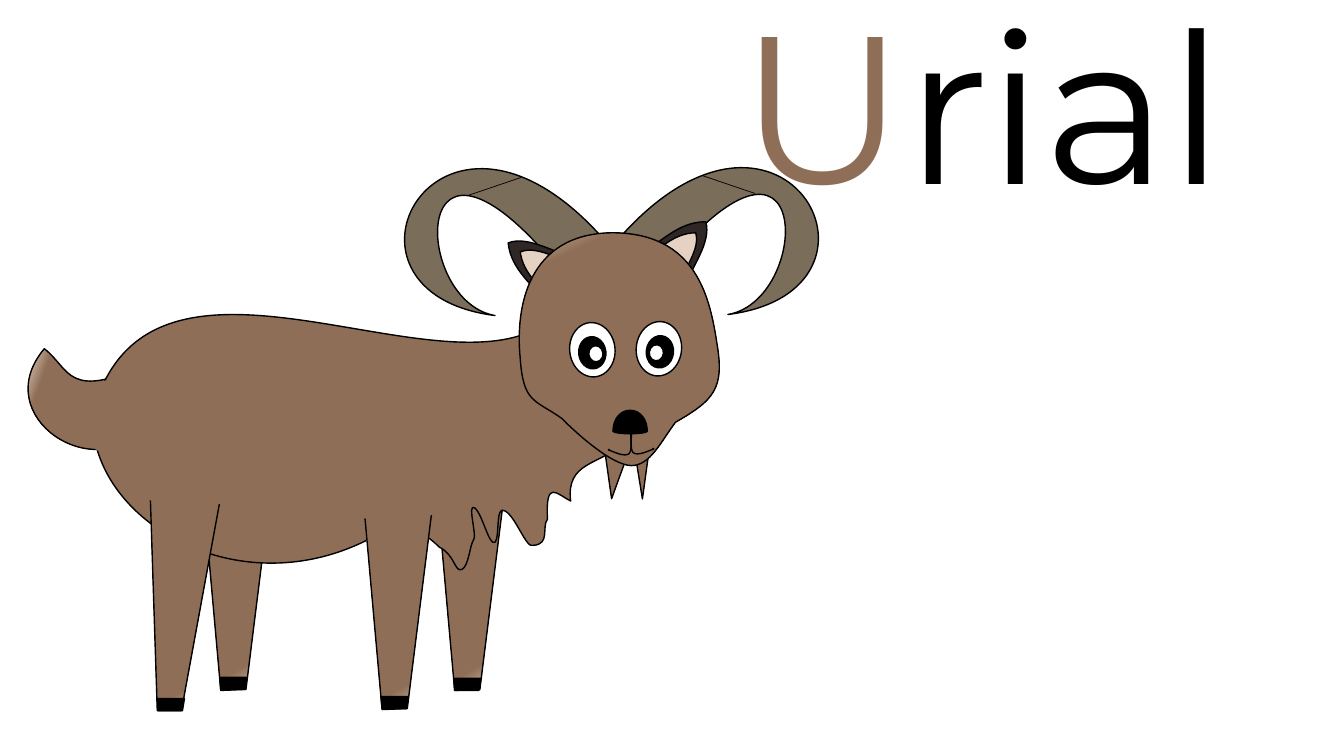
import math

from lxml import etree
from pptx import Presentation, util as u
from pptx.dml.color import RGBColor
from pptx.enum import shapes, text
from pptx.oxml import ns

COLOURS = {"brown": "8F6E57", "cream": "E6D2C2", "horn": "7A6D59",
           "ear": "2F2626", "black": "000000", "white": "FFFFFF"}

# Outlines: a start point, then pairs (straight to) or sixes (cubic curve to).
HORN = [(4.91, 3.13), (3.1, 2.9, 4.33, 0.57, 5.94, 2.32), (6.04, 2.59), (5.82, 3.03),
        (4.05, 0.59, 4.03, 2.98, 4.91, 3.13)]
RIDGE = [(5.17, 1.76), (4.64, 1.94)]
EARS = [
    ("ear", 41.3, [(6.77, 2.89), (6.85, 2.66, 7.06, 2.41, 7, 2.2),
                   (6.72, 2.2, 6.56, 2.41, 6.34, 2.52)]),
    ("cream", 41.3, [(6.72, 2.86), (6.78, 2.67, 6.95, 2.47, 6.9, 2.31),
                     (6.68, 2.31, 6.55, 2.48, 6.38, 2.56)]),
    ("ear", 305.5, [(5.75, 2.57), (5.51, 2.52, 5.24, 2.33, 5.04, 2.41),
                    (5.07, 2.69, 5.3, 2.82, 5.42, 3.03)]),
    ("cream", 305.5, [(5.73, 2.62), (5.54, 2.58, 5.32, 2.43, 5.16, 2.5),
                      (5.19, 2.72, 5.36, 2.83, 5.46, 2.99)]),
]
LEG = [(0.7, 0.03), (0, 0), (0.19, 2.13), (0.44, 2.12)]
FRONT_LEG = [(2.18, 4.98), (1.49, 4.91), (1.56, 7.05), (1.8, 7.05)]
HOOF = [(0.27, 0), (0, 0), (0.01, 0.12), (0.25, 0.12)]
TAIL = [(1.48, 3.6), (0.66, 3.99, 0.7, 3.66, 0.44, 3.46),
        (-0.13, 4.14, 0.96, 4.83, 1.42, 4.23)]
BODY = [(6.09, 3.22), (5.7, 2.86), (4.97, 4.42, 1.52, 1.84, 0.92, 4.1),
        (0.87, 5.16, 2.4, 6.07, 3.75, 5.3), (4.21, 5.37, 4.12, 5.2, 4.36, 5.43),
        (4.51, 5.5, 4.51, 5.68, 4.58, 5.65), (4.65, 5.62, 4.66, 5.4, 4.7, 5.35),
        (4.73, 5.31, 4.63, 4.98, 4.71, 5.04), (4.79, 5.11, 4.85, 5.42, 4.91, 5.38),
        (4.96, 5.33, 4.91, 5, 5.01, 5.07), (5.12, 5.13, 5.22, 5.45, 5.29, 5.41),
        (5.46, 5.4, 5.37, 5.23, 5.43, 5.15), (5.41, 4.75, 5.52, 4.9, 5.66, 4.97),
        (5.61, 4.58, 5.96, 4.61, 6.12, 4.43)]
HEAD = [(7.11, 3.4), (7.04, 2.94, 6.9, 2.31, 6.07, 2.31),
        (5.24, 2.32, 5.11, 3.04, 5.16, 3.55), (5.19, 4, 5.3, 3.96, 5.57, 4.15),
        (5.75, 4.33, 6.07, 4.61, 6.26, 4.62), (6.45, 4.62, 6.55, 4.39, 6.7, 4.19),
        (7.08, 3.97, 7.19, 3.86, 7.11, 3.4)]
NOSE = [(6.42, 4.28), (6.42, 4.16, 6.35, 4.07, 6.25, 4.07),
        (6.15, 4.07, 6.08, 4.16, 6.08, 4.28), (6.1, 4.31, 6.4, 4.31, 6.42, 4.28)]
MOUTH = [(6.25, 4.26), (6.26, 4.36, 6.27, 4.47, 6.24, 4.5),
         (6.2, 4.54, 6.08, 4.48, 6.05, 4.47), (6.02, 4.46, 6.04, 4.46, 6.05, 4.46)]


def colour(name):
    return RGBColor.from_string(COLOURS[name])


def moved(outline, right, down, flip=1):
    """Shift an outline; flip=-1 mirrors it left to right first."""
    return [tuple(flip * value + right if index % 2 == 0 else value + down
                  for index, value in enumerate(step)) for step in outline]


def rotated(point, degrees):
    angle = math.radians(degrees)
    x, y = point
    return (x * math.cos(angle) - y * math.sin(angle),
            x * math.sin(angle) + y * math.cos(angle))


def curve_points(corners, pieces=24):
    """Give points along a cubic curve, to find how far it reaches."""
    for piece in range(1, pieces + 1):
        t = piece / pieces
        weights = [math.comb(3, k) * t ** k * (1 - t) ** (3 - k) for k in range(4)]
        yield tuple(round(sum(weight * corner[axis] for weight, corner
                              in zip(weights, corners))) for axis in (0, 1))


class Drawing:
    font = "Montserrat"
    line_width = u.Pt(1)

    def __init__(self, slide):
        self.slide = slide

    def title(self, left, top, width, height, size, runs):
        title = self.slide.shapes.title
        title.left, title.top = u.Inches(left), u.Inches(top)
        title.width, title.height = u.Inches(width), u.Inches(height)
        frame = title.text_frame
        frame.word_wrap = True
        frame.auto_size = text.MSO_AUTO_SIZE.SHAPE_TO_FIT_TEXT
        frame.vertical_anchor = text.MSO_ANCHOR.TOP
        paragraph = frame.paragraphs[0]
        paragraph.alignment = text.PP_ALIGN.LEFT
        for words, name in runs:
            run = paragraph.add_run()
            run.text = words
            run.font.name, run.font.size = self.font, u.Pt(size)
            run.font.color.rgb = colour(name)

    def paint(self, shape, fill, shade=None, outlined=True):
        """Style a shape; shade is the clockwise angle of a cream-to-fill gradient."""
        shape.shadow.inherit = False
        if fill is None:
            shape.fill.background()
        elif shade is None:
            shape.fill.solid()
            shape.fill.fore_color.rgb = colour(fill)
        else:
            shape.fill.gradient()
            shape.fill.gradient_angle = 360 - shade
            stops = zip(shape.fill.gradient_stops, (0, 0.16), ("cream", fill))
            for stop, position, name in stops:
                stop.position = position
                stop.color.rgb = colour(name)
        if outlined:
            shape.line.color.rgb = colour("black")
            shape.line.width = self.line_width
        else:
            shape.line.fill.background()

    def outline(self, outline, fill=None, rotation=0, shade=None, closed=True):
        """Draw an outline where it lies, in a frame turned by the rotation."""
        steps = [[tuple(u.Inches(value) for value in rotated(step[i:i + 2], -rotation))
                  for i in range(0, len(step), 2)] for step in outline]
        reach = list(steps[0])
        for step in steps[1:]:
            reach += step if len(step) == 1 else curve_points([reach[-1], *step])
        builder = self.slide.shapes.build_freeform(*reach[0])
        builder.add_line_segments(reach[1:], close=closed)
        shape = builder.convert_to_shape()

        route = next(shape._element.iter(ns.qn("a:path")))
        for segment in list(route)[1:]:
            route.remove(segment)
        for step in steps[1:]:
            tag = "a:lnTo" if len(step) == 1 else "a:cubicBezTo"
            segment = etree.SubElement(route, ns.qn(tag))
            for x, y in step:
                etree.SubElement(segment, ns.qn("a:pt"),
                                 x=str(x - shape.left), y=str(y - shape.top))
        if closed:
            etree.SubElement(route, ns.qn("a:close"))

        x, y = rotated((shape.left + shape.width / 2, shape.top + shape.height / 2), rotation)
        shape.left, shape.top = round(x - shape.width / 2), round(y - shape.height / 2)
        shape.rotation = rotation
        self.paint(shape, fill, shade)

    def preset(self, kind, left, top, width, height, fill, rotation=0, outlined=True):
        shape = self.slide.shapes.add_shape(kind, u.Inches(left), u.Inches(top),
                                            u.Inches(width), u.Inches(height))
        shape.rotation = rotation
        self.paint(shape, fill, outlined=outlined)

    def line(self, start, end):
        connector = self.slide.shapes.add_connector(
            shapes.MSO_CONNECTOR.STRAIGHT, *(u.Inches(value) for value in start + end))
        connector.line.color.rgb = colour("black")
        connector.line.width = u.Pt(0.5)
        etree.SubElement(connector._element.spPr, ns.qn("a:effectLst"))


def main():
    presentation = Presentation()
    presentation.slide_width, presentation.slide_height = u.Inches(13.33), u.Inches(7.5)
    drawing = Drawing(presentation.slides.add_slide(presentation.slide_layouts[5]))
    oval, triangle = shapes.MSO_SHAPE.OVAL, shapes.MSO_SHAPE.ISOSCELES_TRIANGLE

    drawing.title(7.23, -0.3, 6.11, 2.63, 150, [("U", "brown"), ("rial", "black")])
    drawing.outline(HORN, "horn", 281.8)
    drawing.line(*RIDGE)
    drawing.outline(moved(HORN, 12.13, -0.01, flip=-1), "horn", 78.2)
    drawing.line(*moved(RIDGE, 12.13, -0.02, flip=-1))
    for fill, rotation, ear in EARS:
        drawing.outline(ear, fill, rotation)
    for left in (4.32, 2):
        drawing.outline(moved(LEG, left, 4.72), "brown", shade=240)
    drawing.outline(TAIL, "brown", shade=20)
    for left, width, rotation in ((5.86, 0.52, 186), (6.21, 0.31, 179.3)):
        drawing.preset(triangle, left, 3.91, width, 1.04, "brown", rotation)
    drawing.outline(BODY, "brown", 42.5)
    drawing.outline(HEAD, "brown", 355.2, shade=70)
    drawing.outline(moved(LEG, 3.6, 4.91), "brown", shade=240)
    drawing.outline(FRONT_LEG, "brown", 3.2, shade=240)
    for left, top in ((1.56, 6.93), (2.18, 6.72), (3.78, 6.91), (4.5, 6.73)):
        drawing.outline(moved(HOOF, left, top), "black")
    drawing.outline(NOSE, "black")
    for left, top, width, height in ((3.39, 4.84, 1, 0.33), (1.39, 4.7, 1, 0.33),
                                     (0.78, 3.77, 0.63, 0.73)):
        drawing.preset(oval, left, top, width, height, "brown", outlined=False)
    for left, top, pupil, glint, rotation in ((6.31, 3.19, 0.1, 0.13, 6.4),
                                              (5.65, 3.2, 0.09, 0.19, 353.6)):
        drawing.preset(oval, left, top, 0.45, 0.54, "white", rotation)
        drawing.preset(oval, left + pupil, top + 0.14, 0.27, 0.32, "black", rotation)
        drawing.preset(oval, left + glint, top + 0.23, 0.14, 0.16, "white", rotation)
    drawing.outline(MOUTH, closed=False)
    drawing.outline(moved(MOUTH, 12.52, -0.01, flip=-1), closed=False)
    presentation.save("out.pptx")


if __name__ == "__main__":
    main()
